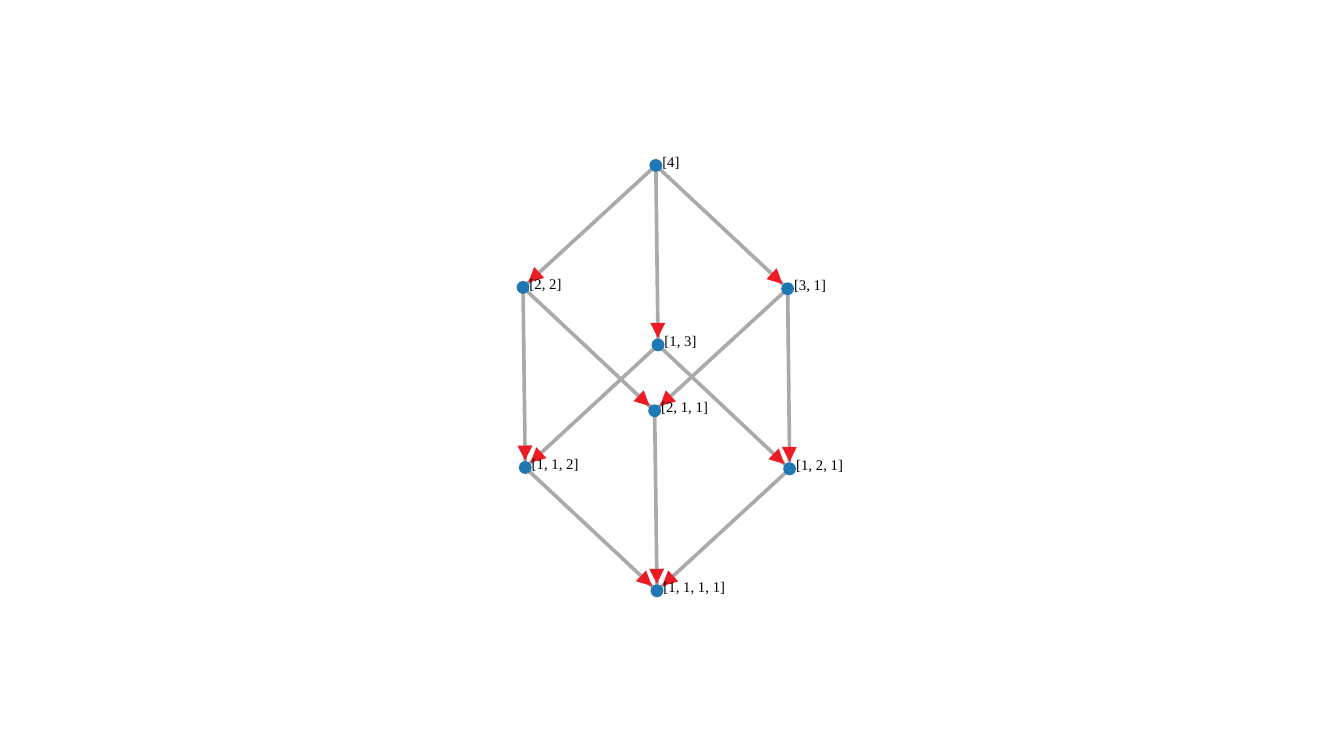
from itertools import accumulate
from math import hypot

from pptx import Presentation
from pptx.dml.color import RGBColor
from pptx.enum.shapes import MSO_CONNECTOR, MSO_SHAPE
from pptx.enum.text import MSO_AUTO_SIZE
from pptx.oxml.ns import qn
from pptx.util import Pt
from lxml import etree

STRAIGHT = MSO_CONNECTOR.STRAIGHT
OVAL = MSO_SHAPE.OVAL
GROW = MSO_AUTO_SIZE.SHAPE_TO_FIT_TEXT
BLANK_LAYOUT = 6


def color(value):
    return RGBColor.from_string(value)


def set_attributes(target, values):
    for name, value in values.items():
        setattr(target, name, value)


class GraphSlide:
    edge_color, arrow_color, node_color, text_color = "AAAAAA", "ED1C24", "1F77B4", "000000"
    edge_width = 2.15
    radius = 3.8
    arrow_gap, arrow_length, arrow_half_width = 4.2, 8.8, 4.4
    font = {"name": "Times New Roman", "size": Pt(8.7)}
    frame = {"margin_left": 0, "margin_top": 0, "margin_right": 0, "margin_bottom": 0,
             "word_wrap": False, "auto_size": GROW}

    def __init__(self, slide):
        self.slide = slide

    def fill(self, shape, value):
        shape.shadow.inherit = False
        shape.fill.solid()
        shape.fill.fore_color.rgb = color(value)
        shape.line.fill.background()

    def edge(self, start, end):
        points = [Pt(value) for value in (*start, *end)]
        connector = self.slide.shapes.add_connector(STRAIGHT, *points)
        connector.line.width = Pt(self.edge_width)
        connector.line.color.rgb = color(self.edge_color)
        etree.SubElement(connector._element.spPr, qn("a:effectLst"))

    def arrow(self, start, end):
        dx, dy = end[0] - start[0], end[1] - start[1]
        length = hypot(dx, dy)
        ux, uy = dx / length, dy / length

        def corner(back, side):
            return Pt(end[0] - back * ux - side * uy), Pt(end[1] - back * uy + side * ux)

        base = self.arrow_gap + self.arrow_length
        builder = self.slide.shapes.build_freeform(*corner(self.arrow_gap, 0))
        builder.add_line_segments([corner(base, self.arrow_half_width),
                                   corner(base, -self.arrow_half_width)], close=True)
        self.fill(builder.convert_to_shape(), self.arrow_color)

    def node(self, center):
        x, y = center
        size = Pt(2 * self.radius)
        shape = self.slide.shapes.add_shape(
            OVAL, Pt(x - self.radius), Pt(y - self.radius), size, size)
        self.fill(shape, self.node_color)

    def label(self, center, composition):
        x, y = center
        width = 8.7 * len(composition) + 2.5
        box = self.slide.shapes.add_textbox(Pt(x + 3.8), Pt(y - 7.6), Pt(width), Pt(10))
        set_attributes(box.text_frame, self.frame)
        run = box.text_frame.paragraphs[0].add_run()
        run.text = str(list(composition))
        set_attributes(run.font, self.font)
        run.font.color.rgb = color(self.text_color)


def splits_once(parent, child):
    return len(child) == len(parent) + 1 and set(accumulate(parent)) <= set(accumulate(child))


presentation = Presentation()
set_attributes(presentation, {"slide_width": Pt(793.44), "slide_height": Pt(446.4)})
graph = GraphSlide(presentation.slides.add_slide(presentation.slide_layouts[BLANK_LAYOUT]))

centers = {
    (4,): (387.2, 97.7),
    (3, 1): (465, 170.5),
    (2, 2): (308.8, 169.7),
    (2, 1, 1): (386.5, 242.6),
    (1, 3): (388.5, 203.7),
    (1, 2, 1): (466.2, 276.9),
    (1, 1, 2): (310.1, 276.1),
    (1, 1, 1, 1): (387.9, 348.9),
}

for parent, start in centers.items():
    for child, end in centers.items():
        if splits_once(parent, child):
            graph.edge(start, end)
            graph.arrow(start, end)

for center in centers.values():
    graph.node(center)

for composition, center in centers.items():
    graph.label(center, composition)

presentation.save("out.pptx")
